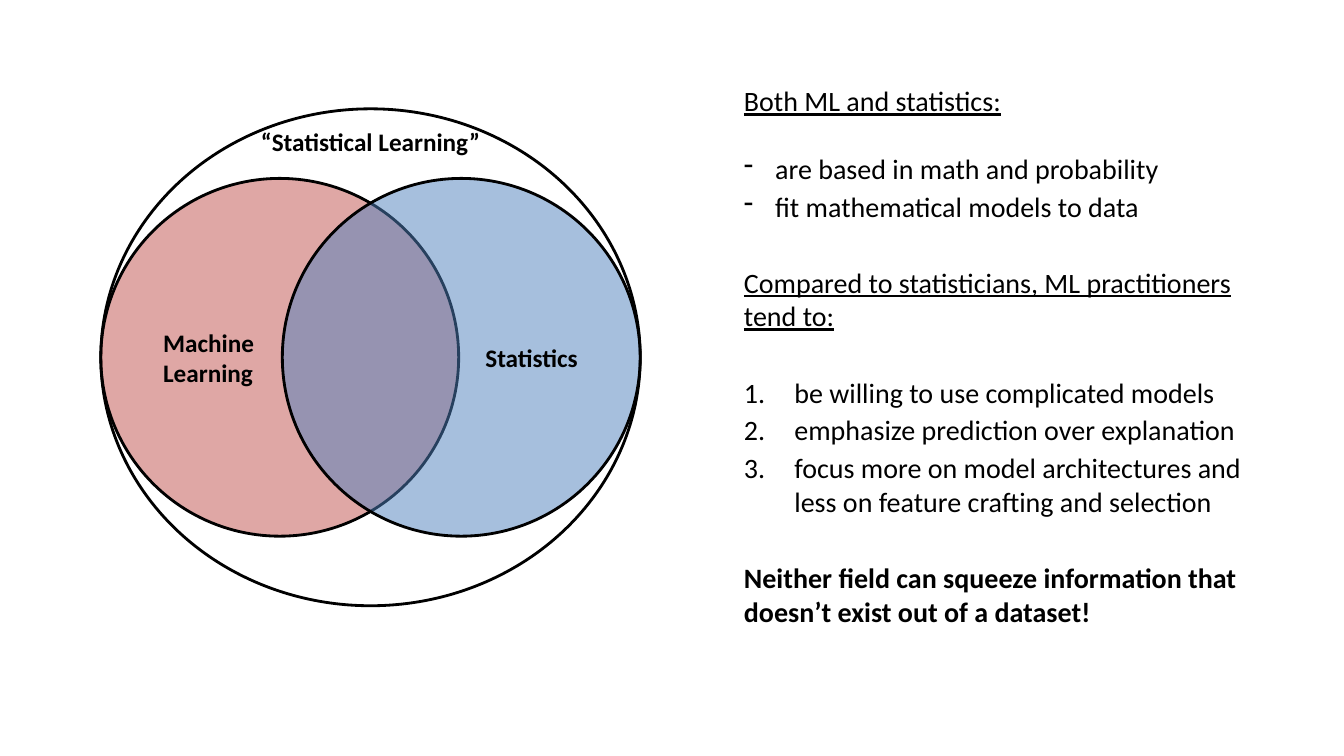
from lxml import etree
from pptx import Presentation
from pptx import util as u
from pptx.dml.color import RGBColor
from pptx.enum import shapes, text
from pptx.oxml import ns

W, H = 13.33, 7.5
FONT = "Calibri"
BLACK = RGBColor(0x00, 0x00, 0x00)
WHITE = RGBColor(0xFF, 0xFF, 0xFF)
RED = RGBColor(0xC0, 0x50, 0x4D)
BLUE = RGBColor(0x4F, 0x81, 0xBD)
LEFT, MID, RIGHT = text.PP_ALIGN.LEFT, text.PP_ALIGN.CENTER, text.PP_ALIGN.RIGHT

# Bullet styles: indent in inches, element, attributes
DASH = (0.31, "a:buChar", {"char": "-"})
COUNT = (0.5, "a:buAutoNum", {"type": "arabicPeriod"})

# Wording, style, bullet, space before, space after (points)
NOTES = [
    ("Both ML and statistics:", "line", None, 0, 0),
    ("are based in math and probability", "", DASH, 24.4, 3),
    ("fit mathematical models to data", "", DASH, 0, 3),
    ("Compared to statisticians, ML practitioners tend to:", "line", None, 27.4, 3),
    ("be willing to use complicated models", "", COUNT, 27.4, 3),
    ("emphasize prediction over explanation", "", COUNT, 0, 3),
    ("focus more on model architectures and less on feature crafting and selection",
     "", COUNT, 0, 3),
    ("Neither field can squeeze information that doesn’t exist out of a dataset!",
     "bold", None, 27.4, 3),
]


def inches(*box):
    return [u.Inches(n) for n in box]


def add_run(para, words, size, style):
    run = para.add_run()
    run.text = words
    font = run.font
    font.name, font.size = FONT, u.Pt(size)
    font.color.rgb = BLACK
    font.bold = style == "bold"
    font.underline = style == "line"


def label(frame, lines, align):
    for i, line in enumerate(lines):
        para = frame.add_paragraph() if i else frame.paragraphs[0]
        para.alignment = align
        add_run(para, line, 18, "bold")


def oval(slide, box, color, alpha=100):
    shape = slide.shapes.add_shape(shapes.MSO_SHAPE.OVAL, *inches(*box))
    shape.shadow.inherit = False
    shape.fill.solid()
    shape.fill.fore_color.rgb = color
    if alpha < 100:
        tint = next(shape._element.iter(ns.qn("a:srgbClr")))
        etree.SubElement(tint, ns.qn("a:alpha"), val=str(alpha * 1000))
    shape.line.color.rgb = BLACK
    shape.line.width = u.Pt(2)
    shape.text_frame.word_wrap = True
    shape.text_frame.vertical_anchor = text.MSO_ANCHOR.MIDDLE
    return shape


def venn(slide, x, y, w, h):
    # Outer field and its title
    oval(slide, (x, y, w, h), WHITE)
    title = slide.shapes.add_textbox(*inches(x, y + 0.025 * h, w, 0.08 * h))
    title.text_frame.word_wrap = True
    label(title.text_frame, ["“Statistical Learning”"], MID)

    # Two overlapping circles, touching the sides of the outer field
    size = 0.72 * h
    top = y + (h - size) / 2
    for left, color, lines, align in (
        (x, RED, ["Machine", "Learning"], LEFT),
        (x + w - size, BLUE, ["Statistics"], RIGHT),
    ):
        circle = oval(slide, (left, top, size, size), color, 50)
        label(circle.text_frame, lines, align)


def notes(slide, x, y, w, h):
    frame = slide.shapes.add_textbox(*inches(x, y, w, h)).text_frame
    frame.word_wrap = True
    for i, (words, style, bullet, before, after) in enumerate(NOTES):
        para = frame.add_paragraph() if i else frame.paragraphs[0]
        if bullet:
            indent, tag, attrs = bullet
            props = para._p.get_or_add_pPr()
            props.set("marL", str(u.Inches(indent)))
            props.set("indent", str(-u.Inches(indent)))
            etree.SubElement(props, ns.qn(tag), attrs)
        if before:
            para.space_before = u.Pt(before)
        para.space_after = u.Pt(after)
        add_run(para, words, 20, style)


def main():
    deck = Presentation()
    deck.slide_width, deck.slide_height = inches(W, H)
    slide = deck.slides.add_slide(deck.slide_layouts[6])
    venn(slide, 1, 1.08, 5.35, 4.93)
    notes(slide, 7.28, 0.78, 5.25, 5.53)
    deck.save("out.pptx")


if __name__ == "__main__":
    main()
